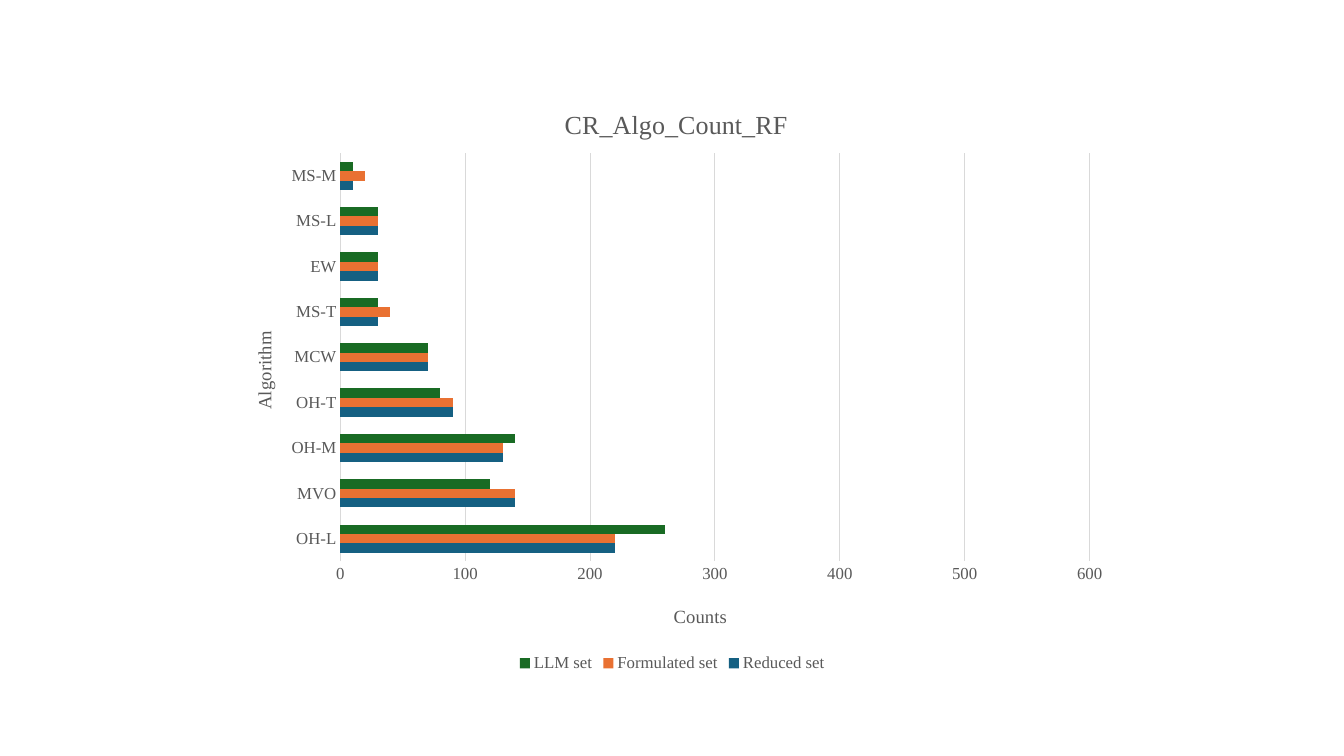
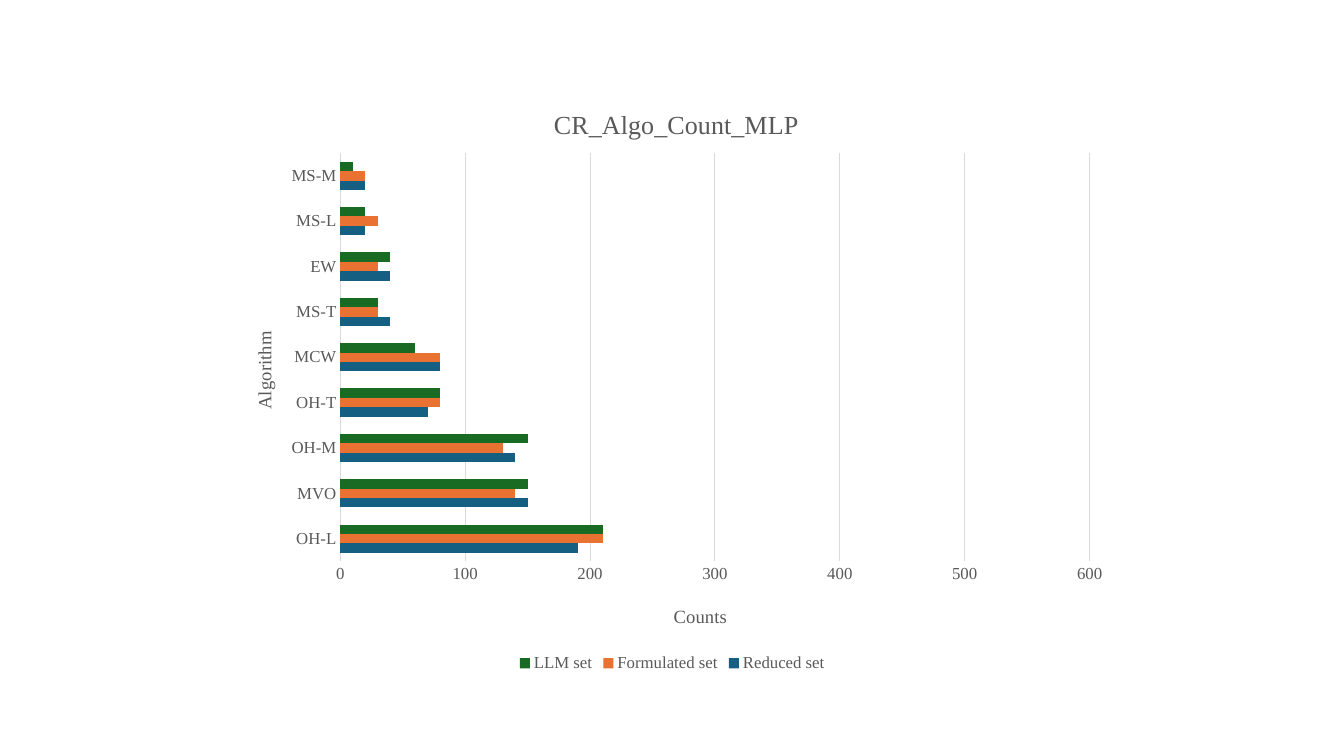
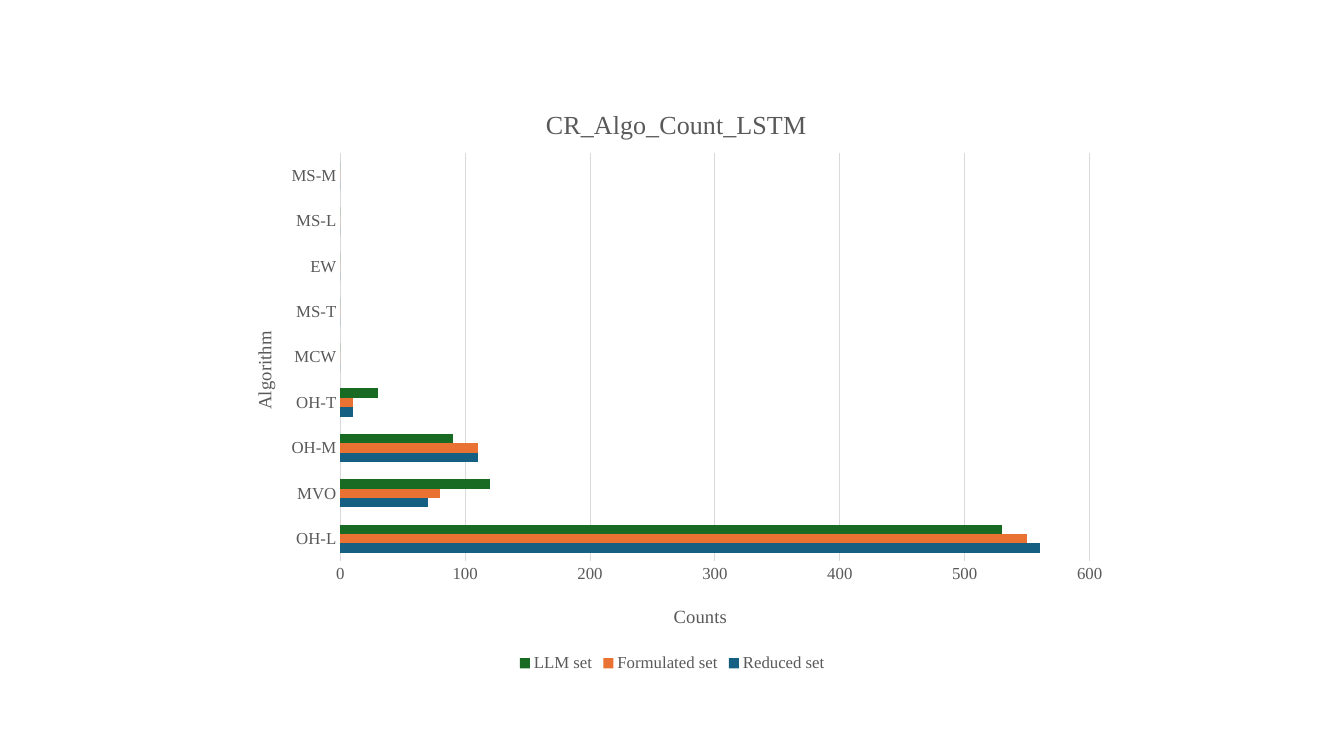
from dataclasses import dataclass

import pptx
import pptx.chart.axis
import pptx.chart.chart
import pptx.chart.data
import pptx.dml.color
import pptx.enum.chart
import pptx.oxml
import pptx.oxml.ns
import pptx.slide
import pptx.text.text
import pptx.util
from pptx.util import Inches

FONT = "Times New Roman"
GREY = pptx.dml.color.RGBColor(0x59, 0x59, 0x59)
RULE = pptx.dml.color.RGBColor(0xD9, 0xD9, 0xD9)
BLUE = pptx.dml.color.RGBColor(0x15, 0x60, 0x82)
ORANGE = pptx.dml.color.RGBColor(0xE9, 0x71, 0x32)
GREEN = pptx.dml.color.RGBColor(0x19, 0x6B, 0x24)

ALGORITHMS = ["OH-L", "MVO", "OH-M", "OH-T", "MCW", "MS-T", "EW", "MS-L", "MS-M"]
SERIES = {"Reduced set": BLUE, "Formulated set": ORANGE, "LLM set": GREEN}


@dataclass(frozen=True)
class CountChart:
    """One bar chart; title_left is a fraction of the chart's width."""

    title: str
    title_left: float
    counts: tuple[list[int], list[int], list[int]]


CHARTS = [
    CountChart("CR_Algo_Count_RF", 0.375, (
        [220, 140, 130, 90, 70, 30, 30, 30, 10],
        [220, 140, 130, 90, 70, 40, 30, 30, 20],
        [260, 120, 140, 80, 70, 30, 30, 30, 10],
    )),
    CountChart("CR_Algo_Count_MLP", 0.363, (
        [190, 150, 140, 70, 80, 40, 40, 20, 20],
        [210, 140, 130, 80, 80, 30, 30, 30, 20],
        [210, 150, 150, 80, 60, 30, 40, 20, 10],
    )),
    CountChart("CR_Algo_Count_LSTM", 0.354, (
        [560, 70, 110, 10, 0, 0, 0, 0, 0],
        [550, 80, 110, 10, 0, 0, 0, 0, 0],
        [530, 120, 90, 30, 0, 0, 0, 0, 0],
    )),
]


def style_font(font: pptx.text.text.Font, size: float) -> None:
    font.name = FONT
    font.size = pptx.util.Pt(size)
    font.bold = False
    font.color.rgb = GREY


def write_title(frame: pptx.text.text.TextFrame, text: str, size: float) -> None:
    span = frame.paragraphs[0].add_run()
    span.text = text
    style_font(span.font, size)


def place(chart: pptx.chart.chart.Chart, query: str, **fractions: float) -> None:
    """Fix a chart part at fractions (x, y, w, h) of the chart's size."""
    owner = chart.element.xpath(query)[0]
    found = owner.xpath("c:layout")
    inner = '<c:layoutTarget val="inner"/>' if "w" in fractions else ""
    modes = "".join(f'<c:{key}Mode val="edge"/>' for key in "xy")
    sizes = "".join(f'<c:{key} val="{value}"/>' for key, value in fractions.items())
    layout = pptx.oxml.parse_xml(
        f"<c:layout {pptx.oxml.ns.nsdecls('c')}><c:manualLayout>"
        f"{inner}{modes}{sizes}</c:manualLayout></c:layout>"
    )
    if found:
        owner.replace(found[0], layout)
    else:
        owner.insert(0, layout)


def style_axis(axis: pptx.chart.axis.CategoryAxis | pptx.chart.axis.ValueAxis, title: str) -> None:
    axis.major_tick_mark = pptx.enum.chart.XL_TICK_MARK.NONE
    axis.minor_tick_mark = pptx.enum.chart.XL_TICK_MARK.NONE
    style_font(axis.tick_labels.font, 12)
    write_title(axis.axis_title.text_frame, title, 13.3)


def add_count_chart(page: pptx.slide.Slide, item: CountChart) -> None:
    data = pptx.chart.data.CategoryChartData()
    data.categories = ALGORITHMS
    for name, counts in zip(SERIES, item.counts):
        data.add_series(name, counts)
    chart = page.shapes.add_chart(
        pptx.enum.chart.XL_CHART_TYPE.BAR_CLUSTERED,
        Inches(2.22), Inches(0.79), Inches(8.89), Inches(5.93), data,
    ).chart
    style_font(chart.font, 12)

    chart.has_title = True
    write_title(chart.chart_title.text_frame, item.title, 18.6)
    place(chart, "c:chart/c:title", x=item.title_left, y=0.04)

    plot = chart.plots[0]
    plot.gap_width = 182
    plot.overlap = 0
    plot.vary_by_categories = False
    for series, colour in zip(plot.series, SERIES.values()):
        series.format.fill.solid()
        series.format.fill.fore_color.rgb = colour
    place(chart, "c:chart/c:plotArea", x=0.13, y=0.123, w=0.836, h=0.683)

    algorithms = chart.category_axis
    style_axis(algorithms, "Algorithm")
    algorithms.has_major_gridlines = False
    place(chart, "//c:catAx/c:title", x=0.028, y=0.415)
    chart.element.xpath("//c:catAx/c:title//a:bodyPr")[0].set("rot", "-5400000")

    counts_axis = chart.value_axis
    style_axis(counts_axis, "Counts")
    counts_axis.minimum_scale = 0
    counts_axis.maximum_scale = 600
    counts_axis.major_unit = 100
    counts_axis.format.line.fill.background()
    place(chart, "//c:valAx/c:title", x=0.498, y=0.872)

    for line in (algorithms.format.line, counts_axis.major_gridlines.format.line):
        line.color.rgb = RULE
        line.width = pptx.util.Pt(0.75)

    chart.has_legend = True
    chart.legend.position = pptx.enum.chart.XL_LEGEND_POSITION.BOTTOM
    chart.legend.include_in_layout = False
    style_font(chart.legend.font, 12)
    place(chart, "c:chart/c:legend", x=0.324, y=0.957)


def main() -> None:
    deck = pptx.Presentation()
    deck.slide_width = Inches(13.33)
    deck.slide_height = Inches(7.5)
    for item in CHARTS:
        add_count_chart(deck.slides.add_slide(deck.slide_layouts[6]), item)
    deck.save("out.pptx")


if __name__ == "__main__":
    main()
